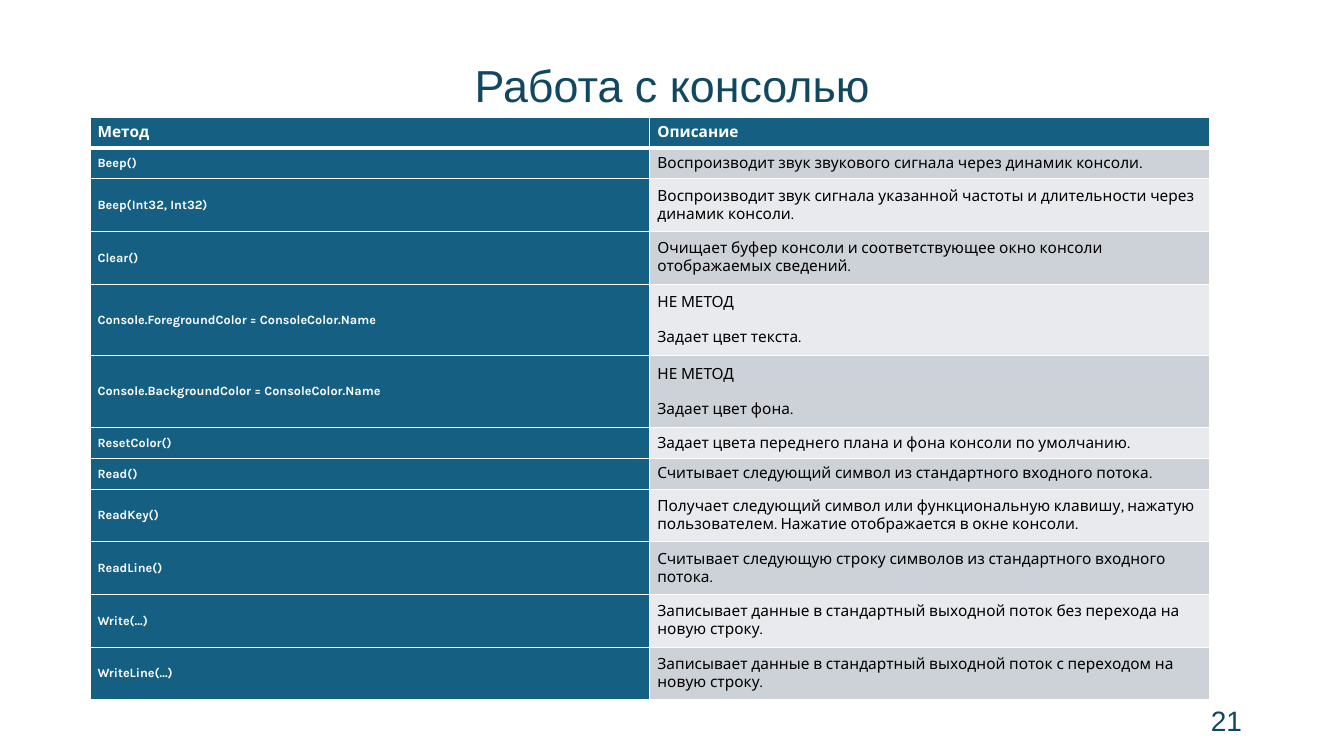
from dataclasses import dataclass

import lxml.etree
import pptx
import pptx.dml.color
import pptx.enum.text
import pptx.oxml.ns
import pptx.util

Pt = pptx.util.Pt
Align = pptx.enum.text.PP_ALIGN
Anchor = pptx.enum.text.MSO_ANCHOR


@dataclass(frozen=True)
class Theme:
    heading_font: str = "Arial"
    table_font: str = "Karla"
    heading: str = "104862"
    accent: str = "156082"
    band_dark: str = "CCD2D8"
    band_light: str = "E8EAED"
    white: str = "FFFFFF"
    black: str = "000000"
    title_size: float = 32
    number_size: float = 20
    table_size: float = 11
    method_size: float = 9
    thin: float = 1
    thick: float = 3


@dataclass(frozen=True)
class Label:
    text: str
    left: float
    top: float
    width: float
    height: float
    size: float
    align: Align
    anchor: Anchor


@dataclass(frozen=True)
class Method:
    name: str
    description: str
    height: float


@dataclass(frozen=True)
class CellStyle:
    size: float
    color: str
    bold: bool
    fill: str


THEME = Theme()

# Row heights by content: one line, two lines, two paragraphs
ONE_LINE, TWO_LINES, TWO_PARAGRAPHS = 22.1, 37.6, 51.2

LABELS = [
    Label("21", 678.24, 500.4, 216, 28.8, THEME.number_size, Align.RIGHT, Anchor.MIDDLE),
    Label("Работа с консолью", 167.76, 37.44, 624.96, 46.08,
          THEME.title_size, Align.CENTER, Anchor.TOP),
]

METHODS = [
    Method("Метод", "Описание", ONE_LINE),
    Method("Beep()", "Воспроизводит звук звукового сигнала через динамик консоли.", ONE_LINE),
    Method("Beep(Int32, Int32)",
           "Воспроизводит звук сигнала указанной частоты и длительности через динамик консоли.",
           TWO_LINES),
    Method("Clear()",
           "Очищает буфер консоли и соответствующее окно консоли отображаемых сведений.",
           TWO_LINES),
    Method("Console.ForegroundColor = ConsoleColor.Name",
           "НЕ МЕТОД\nЗадает цвет текста.", TWO_PARAGRAPHS),
    Method("Console.BackgroundColor = ConsoleColor.Name",
           "НЕ МЕТОД\nЗадает цвет фона.", TWO_PARAGRAPHS),
    Method("ResetColor()", "Задает цвета переднего плана и фона консоли по умолчанию.", ONE_LINE),
    Method("Read()", "Считывает следующий символ из стандартного входного потока.", ONE_LINE),
    Method("ReadKey()",
           "Получает следующий символ или функциональную клавишу, нажатую пользователем. "
           "Нажатие отображается в окне консоли.", TWO_LINES),
    Method("ReadLine()",
           "Считывает следующую строку символов из стандартного входного потока.", TWO_LINES),
    Method("Write(...)",
           "Записывает данные в стандартный выходной поток без перехода на новую строку.",
           TWO_LINES),
    Method("WriteLine(...)",
           "Записывает данные в стандартный выходной поток с переходом на новую строку.",
           TWO_LINES),
]


def rgb(color: str) -> pptx.dml.color.RGBColor:
    return pptx.dml.color.RGBColor.from_string(color)


def style_font(font, name: str, size: float, color: str, bold: bool) -> None:
    font.name = name
    font.size = Pt(size)
    font.bold = bold
    font.color.rgb = rgb(color)


def add_label(page, label: Label) -> None:
    box = page.shapes.add_textbox(
        Pt(label.left), Pt(label.top), Pt(label.width), Pt(label.height))
    frame = box.text_frame
    frame.word_wrap = True
    frame.vertical_anchor = label.anchor
    frame.text = label.text
    para = frame.paragraphs[0]
    para.alignment = label.align
    for span in para.runs:
        style_font(span.font, THEME.heading_font, label.size, THEME.heading, False)


def set_borders(cell, top: float, bottom: float) -> None:
    properties = cell._tc.get_or_add_tcPr()
    qn = pptx.oxml.ns.qn
    widths = {"lnL": THEME.thin, "lnR": THEME.thin, "lnT": top, "lnB": bottom}
    for side, width in widths.items():
        line = lxml.etree.SubElement(properties, qn(f"a:{side}"), w=str(int(Pt(width))))
        fill = lxml.etree.SubElement(line, qn("a:solidFill"))
        lxml.etree.SubElement(fill, qn("a:srgbClr"), val=THEME.white)


def cell_style(row: int, column: int) -> CellStyle:
    if row == 0:
        return CellStyle(THEME.table_size, THEME.white, True, THEME.accent)
    if column == 0:
        return CellStyle(THEME.method_size, THEME.white, True, THEME.accent)
    band = THEME.band_dark if row % 2 else THEME.band_light
    return CellStyle(THEME.table_size, THEME.black, False, band)


def fill_cell(cell, text: str, row: int, column: int) -> None:
    style = cell_style(row, column)
    set_borders(cell,
                top=THEME.thick if row == 1 else THEME.thin,
                bottom=THEME.thick if row == 0 else THEME.thin)
    cell.fill.solid()
    cell.fill.fore_color.rgb = rgb(style.fill)
    cell.vertical_anchor = Anchor.MIDDLE
    cell.margin_left = cell.margin_right = Pt(5.4)
    cell.margin_top = cell.margin_bottom = Pt(2.7)
    cell.text_frame.text = text
    for index, para in enumerate(cell.text_frame.paragraphs):
        para.space_before = Pt(6 if index else 0)
        para.space_after = Pt(6)
        for span in para.runs:
            style_font(span.font, THEME.table_font, style.size, style.color, style.bold)


def add_method_table(page, methods: list[Method]) -> None:
    height = sum(method.height for method in methods)
    frame = page.shapes.add_table(
        len(methods), 2, Pt(64.3), Pt(83.6), Pt(799.8), Pt(height))
    table = frame.table
    table.horz_banding = False
    for row, method in enumerate(methods):
        table.rows[row].height = Pt(method.height)
        for column, text in enumerate((method.name, method.description)):
            fill_cell(table.cell(row, column), text, row, column)


def main() -> None:
    deck = pptx.Presentation()
    deck.slide_width, deck.slide_height = Pt(960), Pt(540)
    page = deck.slides.add_slide(deck.slide_layouts[6])

    # Slide number and title
    for label in LABELS:
        add_label(page, label)

    # Console methods
    add_method_table(page, METHODS)

    deck.save("out.pptx")


if __name__ == "__main__":
    main()
